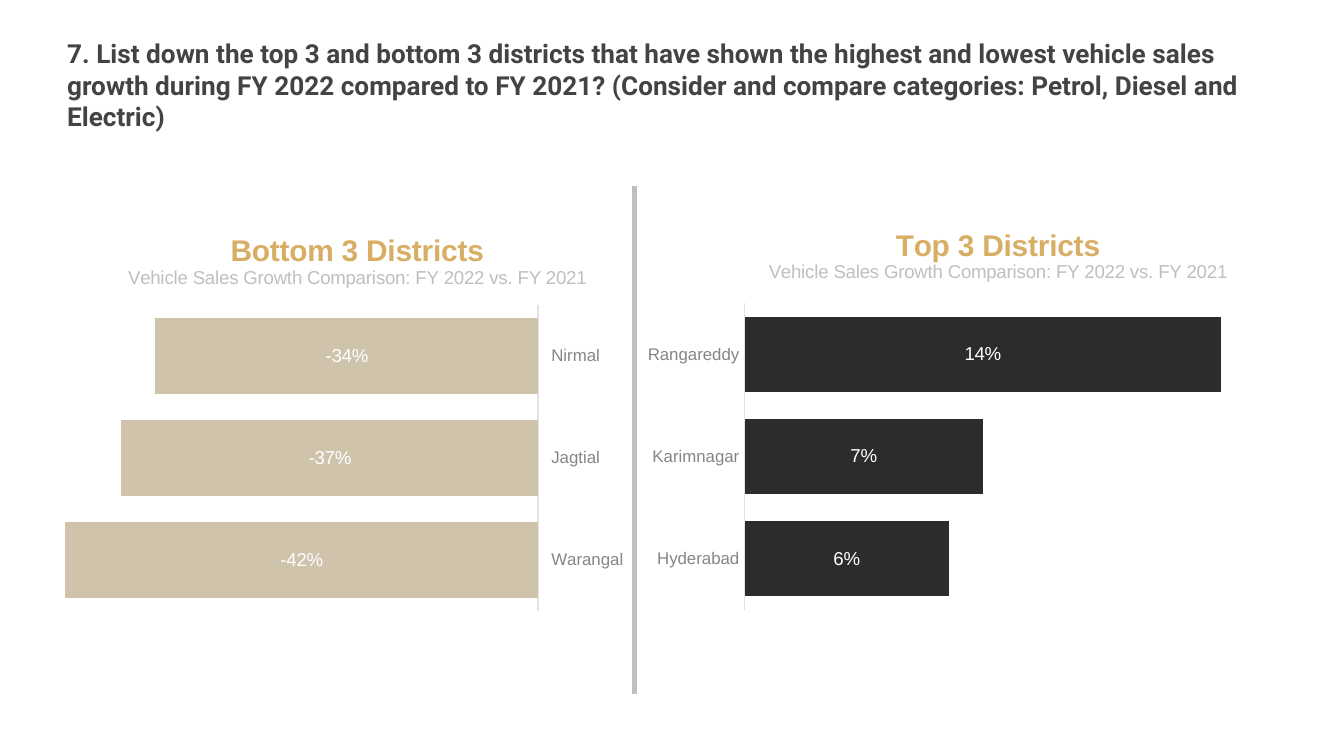
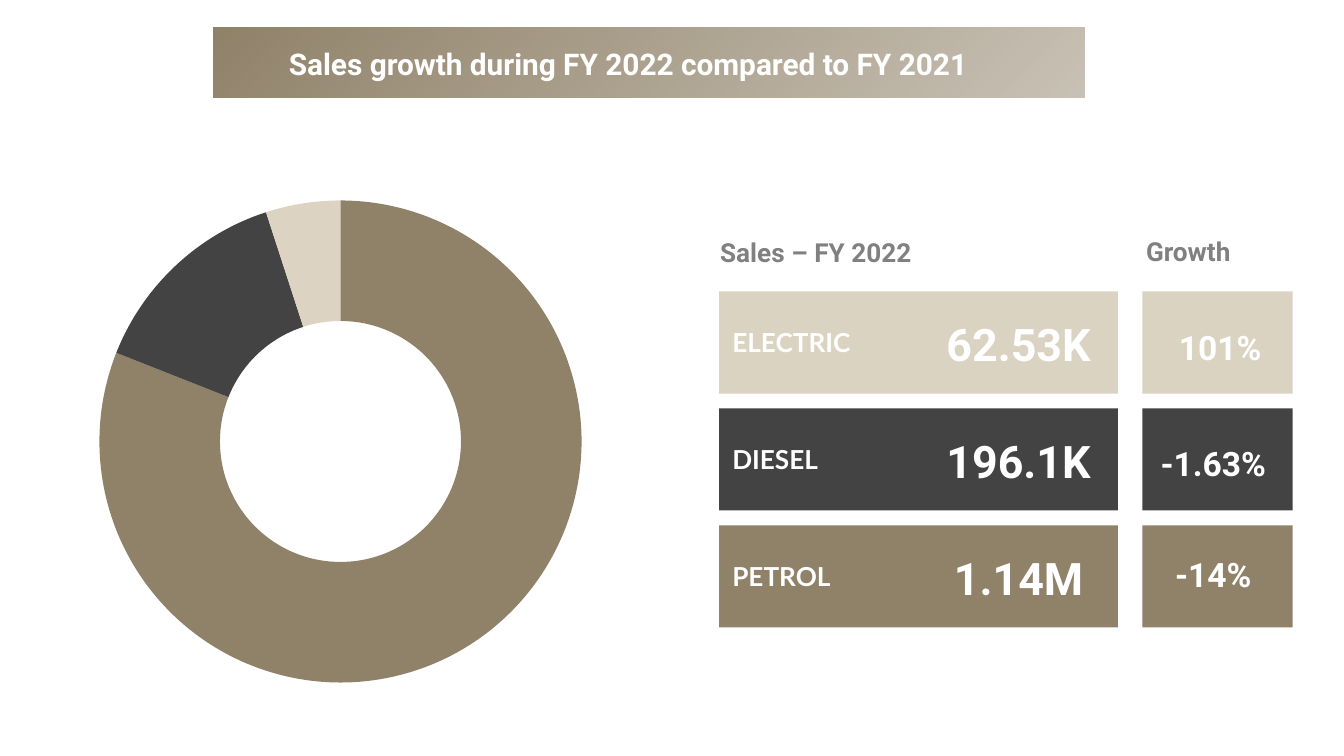
from dataclasses import dataclass
from typing import NamedTuple

from lxml import etree
from pptx import Presentation
from pptx.chart.data import CategoryChartData
from pptx.dml.color import RGBColor
from pptx.enum.chart import XL_CHART_TYPE, XL_LABEL_POSITION, XL_TICK_LABEL_POSITION, XL_TICK_MARK
from pptx.enum.shapes import MSO_CONNECTOR, MSO_SHAPE
from pptx.enum.text import MSO_ANCHOR, PP_ALIGN
from pptx.oxml.ns import qn
from pptx.util import Cm, Pt

CLUSTERED, STACKED = XL_CHART_TYPE.BAR_CLUSTERED, XL_CHART_TYPE.BAR_STACKED
DOUGHNUT = XL_CHART_TYPE.DOUGHNUT
LOW_LABELS, HIGH_LABELS = XL_TICK_LABEL_POSITION.NEXT_TO_AXIS, XL_TICK_LABEL_POSITION.HIGH
NO_TICKS = XL_TICK_MARK.NONE
LABEL_CENTER = XL_LABEL_POSITION.CENTER
STRAIGHT, RECT = MSO_CONNECTOR.STRAIGHT, MSO_SHAPE.RECTANGLE
TOP, MIDDLE = MSO_ANCHOR.TOP, MSO_ANCHOR.MIDDLE
LEFT, CENTER = PP_ALIGN.LEFT, PP_ALIGN.CENTER

COLORS = {
    "white": "FFFFFF", "dark": "434343", "black": "2C2C2C", "brown": "908269",
    "sand": "CFC3AC", "light_sand": "DCD3C2", "gold": "D8AE65", "divider": "BFBFBF",
    "heading": "808080", "axis_text": "858585", "axis_line": "E3E3E3",
}
HEAD_FONT, TILE_FONT, CHART_FONT = "Roboto", "Lato", "Arial"
GROWTH_SUBTITLE = "Vehicle Sales Growth Comparison: FY 2022 vs. FY 2021"


class Box(NamedTuple):
    """Left, top, width and height in centimetres."""
    x: float
    y: float
    w: float
    h: float

    def lengths(self) -> tuple:
        return tuple(Cm(v) for v in self)


@dataclass
class GrowthChart:
    title: str
    box: Box
    kind: int
    districts: tuple
    values: tuple
    color: str
    scale: tuple
    labels_at: int
    title_at: tuple
    plot_at: tuple


@dataclass
class FuelRow:
    name: str
    sales: str
    growth: str
    color: str
    alpha: int
    growth_x: float
    growth_dy: float


GROWTH_CHARTS = (
    GrowthChart("Top 3 Districts", Box(12.04, 4.06, 12.7, 7.62), CLUSTERED,
                ("Hyderabad", "Karimnagar", "Rangareddy"), (0.06, 0.07, 0.14),
                "black", (0, 0.16), LOW_LABELS, (0.19, 0.02), (0.16, 0.22, 0.81, 0.76)),
    GrowthChart("Bottom 3 Districts", Box(0.36, 4.09, 11.68, 7.62), STACKED,
                ("Warangal", "Jagtial", "Nirmal"), (-0.42, -0.37, -0.34),
                "sand", (-0.45, 0), HIGH_LABELS, (0.17, 0.03), (0.02, 0.22, 0.82, 0.76)),
)
FUEL_ROWS = (
    FuelRow("ELECTRIC", "62.53K", "101%", "sand", 73, 21.59, 0.38),
    FuelRow("DIESEL", "196.1K", "-1.63%", "dark", 100, 21.46, 0.36),
    FuelRow("PETROL", "1.14M", "-14%", "brown", 100, 21.46, 0.25),
)
ROW_TOP, ROW_PITCH, ROW_H = 5.51, 2.21, 1.93


def rgb(name: str) -> RGBColor:
    return RGBColor.from_string(COLORS[name])


def style_font(font, size: float, color: str, name: str, bold: bool = False) -> None:
    font.size, font.name, font.bold = Pt(size), name, bold
    font.color.rgb = rgb(color)


def write(shape, text: str, size: float, color: str, name: str = HEAD_FONT,
          align=LEFT, anchor=TOP, inset: float = 0.25) -> None:
    tf = shape.text_frame
    tf.word_wrap = True
    tf.vertical_anchor = anchor
    tf.margin_top = tf.margin_bottom = Cm(inset)
    tf.text = text
    p = tf.paragraphs[0]
    p.alignment = align
    style_font(p.runs[0].font, size, color, name, bold=True)


def add_text(s, box: Box, text: str, size: float, color: str, **options):
    write(s.shapes.add_textbox(*box.lengths()), text, size, color, **options)


def set_alpha(color_element, percent: int) -> None:
    etree.SubElement(color_element, qn("a:alpha")).set("val", str(percent * 1000))


def add_rect(s, box: Box):
    sp = s.shapes.add_shape(RECT, *box.lengths())
    sp.shadow.inherit = False
    sp.line.fill.background()
    return sp


def add_tile(s, box: Box, color: str, alpha: int):
    sp = add_rect(s, box)
    sp.fill.solid()
    sp.fill.fore_color.rgb = rgb(color)
    if alpha < 100:
        set_alpha(next(sp._element.spPr.iter(qn("a:srgbClr"))), alpha)
    return sp


def add_band(s, box: Box) -> None:
    """Draw a band that fades from solid to half transparent."""
    sp = add_rect(s, box)
    sp.fill.gradient()
    sp.fill.gradient_angle = 315
    for stop in sp.fill.gradient_stops:
        stop.color.rgb = rgb("brown")
    set_alpha(list(sp._element.spPr.iter(qn("a:srgbClr")))[-1], 49)


def set_layout(parent, index: int, fractions: tuple, inner: bool = False) -> None:
    """Place a chart part by fractions of the chart: x, y and optionally w, h."""
    for old in parent.findall(qn("c:layout")):
        parent.remove(old)
    layout = etree.Element(qn("c:layout"))
    parent.insert(index, layout)
    manual = etree.SubElement(layout, qn("c:manualLayout"))
    settings = [("layoutTarget", "inner")] if inner else []
    settings += [("xMode", "edge"), ("yMode", "edge")]
    settings += list(zip("xywh", map(str, fractions)))
    for tag, value in settings:
        etree.SubElement(manual, qn(f"c:{tag}")).set("val", value)


def add_chart(s, kind: int, box: Box, categories: tuple, values: tuple, plot_at: tuple):
    data = CategoryChartData()
    data.categories = categories
    data.add_series("Series 1", values)
    chart = s.shapes.add_chart(kind, *box.lengths(), data).chart
    style_font(chart.font, 10, "dark", CHART_FONT)
    chart.has_legend = False
    chart.has_title = False
    set_layout(chart._chartSpace.chart.plotArea, 0, plot_at, inner=True)
    return chart


def add_growth_chart(s, spec_: GrowthChart) -> None:
    g = spec_
    chart = add_chart(s, g.kind, g.box, g.districts, g.values, g.plot_at)
    chart.has_title = True
    tf = chart.chart_title.text_frame
    tf.text = f"{g.title}\n{GROWTH_SUBTITLE}"
    heading, subtitle = tf.paragraphs
    style_font(heading.runs[0].font, 16, "gold", CHART_FONT, bold=True)
    style_font(subtitle.runs[0].font, 10, "divider", CHART_FONT)
    set_layout(chart.chart_title._element, 1, g.title_at)

    axis = chart.category_axis
    axis.major_tick_mark = axis.minor_tick_mark = NO_TICKS
    axis.tick_label_position = g.labels_at
    style_font(axis.tick_labels.font, 9, "axis_text", CHART_FONT)
    axis.format.line.color.rgb = rgb("axis_line")
    axis.format.line.width = Pt(0.75)
    axis.has_major_gridlines = False
    axis = chart.value_axis
    axis.minimum_scale, axis.maximum_scale = g.scale
    axis.has_major_gridlines = False
    axis.visible = False

    plot = chart.plots[0]
    plot.gap_width = 35
    plot.vary_by_categories = False
    series = plot.series[0]
    series.invert_if_negative = False
    series.format.fill.solid()
    series.format.fill.fore_color.rgb = rgb(g.color)
    labels = series.data_labels
    labels.show_value = True
    labels.position = LABEL_CENTER
    labels.number_format, labels.number_format_is_linked = "0%", False
    style_font(labels.font, 10, "white", CHART_FONT)


def add_share_doughnut(s) -> None:
    chart = add_chart(s, DOUGHNUT, Box(0, 3.3, 12.62, 9.8), ("1", "2", "3"),
                      (81, 14, 5), (0.14, 0.05, 0.74, 0.93))
    plot = chart.plots[0]
    plot.has_data_labels = False
    next(chart._chartSpace.iter(qn("c:holeSize"))).set("val", "58")
    for i, color in enumerate(("brown", "dark", "light_sand")):
        fmt = plot.series[0].points[i].format
        fmt.fill.solid()
        fmt.fill.fore_color.rgb = rgb(color)
        fmt.line.fill.background()


def add_divider(s) -> None:
    line = s.shapes.add_connector(STRAIGHT, Cm(11.99), Cm(3.51), Cm(11.99), Cm(13.11))
    line.line.color.rgb = rgb("divider")
    line.line.width = Pt(2.75)
    etree.SubElement(line._element.spPr, qn("a:effectLst"))


def add_fuel_row(s, row: FuelRow, top: float) -> None:
    name_tile = add_tile(s, Box(13.59, top, 7.54, ROW_H), row.color, row.alpha)
    write(name_tile, row.name, 14, "white", name=TILE_FONT, anchor=MIDDLE)
    add_tile(s, Box(21.59, top, 2.84, ROW_H), row.color, row.alpha)
    add_text(s, Box(17.37, top + 0.31, 3.76, 1.35), row.sales, 24, "white",
             align=CENTER, anchor=MIDDLE)
    add_text(s, Box(row.growth_x, top + row.growth_dy, 2.94, 1.35), row.growth, 18, "white",
             align=CENTER, anchor=MIDDLE)


def build_district_slide(s) -> None:
    add_text(s, Box(1.02, 0.46, 23.39, 2.13),
             "7. List down the top 3 and bottom 3 districts that have shown the highest and "
             "lowest vehicle sales growth during FY 2022 compared to FY 2021? (Consider and "
             "compare categories: Petrol, Diesel and Electric)", 14, "dark")
    for growth_chart in GROWTH_CHARTS:
        add_growth_chart(s, growth_chart)
    add_divider(s)


def build_fuel_slide(s) -> None:
    add_band(s, Box(4.04, 0.53, 16.46, 1.32))
    add_text(s, Box(5.21, 0.74, 14.43, 0.94),
             "Sales growth during FY 2022 compared to FY 2021", 16, "white", inset=0.13)
    add_share_doughnut(s)
    add_text(s, Box(13.36, 4.34, 5, 0.86), "Sales – FY 2022", 14, "heading", inset=0.13)
    add_text(s, Box(21.41, 4.32, 2.72, 0.86), "Growth", 14, "heading", inset=0.13)
    for i, row in enumerate(FUEL_ROWS):
        add_fuel_row(s, row, ROW_TOP + i * ROW_PITCH)


def main() -> None:
    prs = Presentation()
    prs.slide_width, prs.slide_height = Cm(25.4), Cm(14.29)
    blank = prs.slide_layouts[6]
    for build in (build_district_slide, build_fuel_slide):
        build(prs.slides.add_slide(blank))
    prs.save("out.pptx")


if __name__ == "__main__":
    main()
